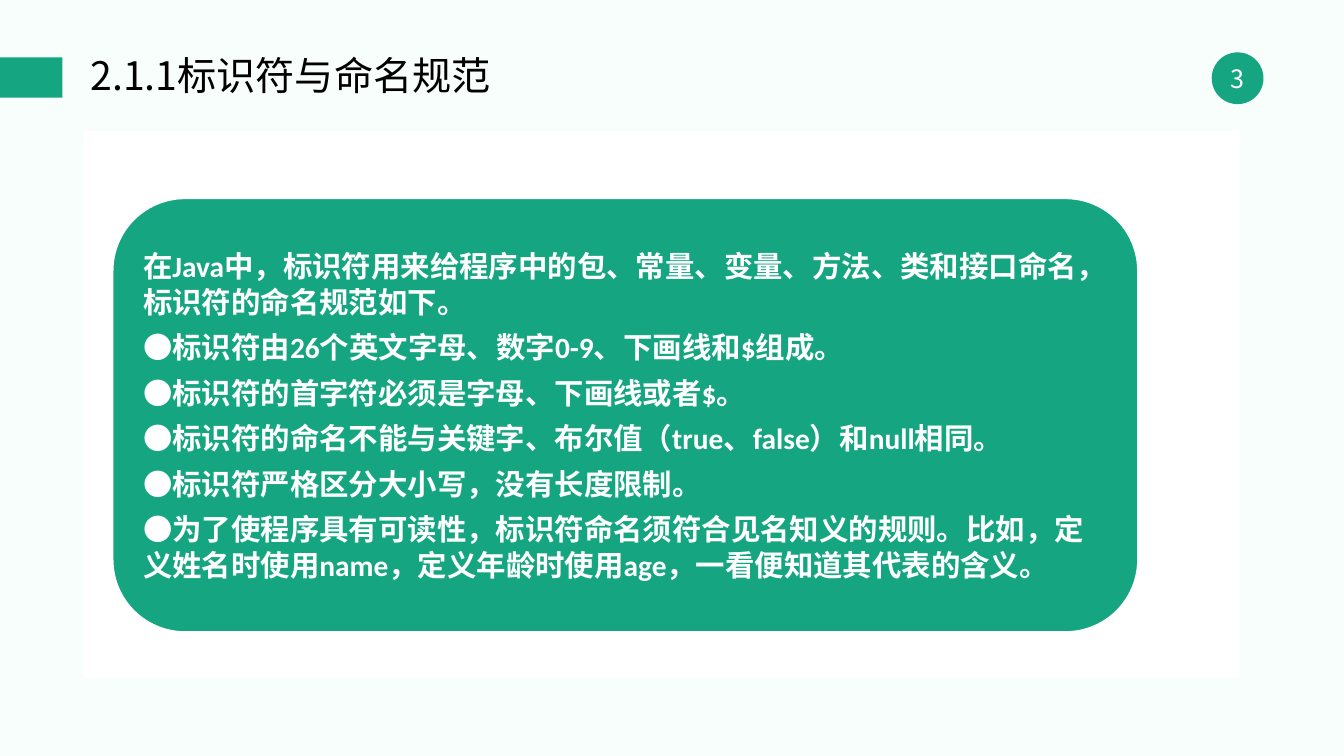
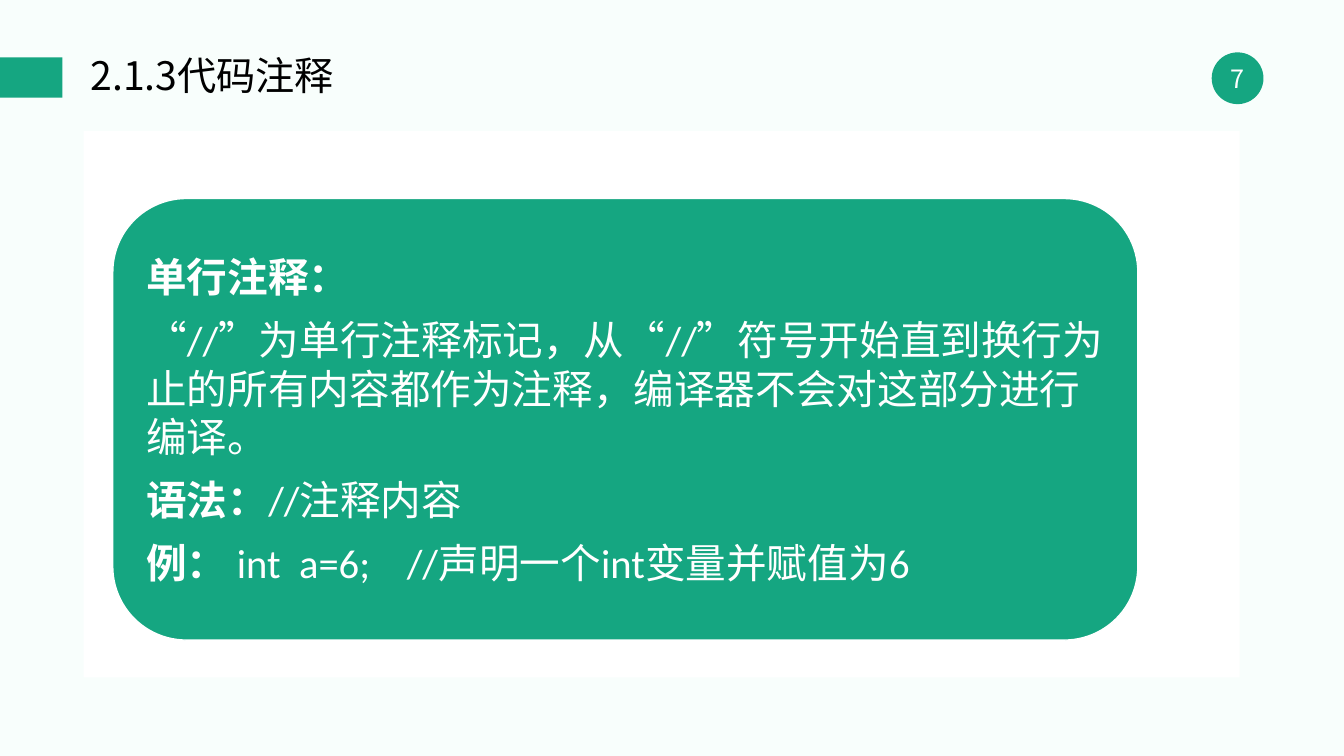
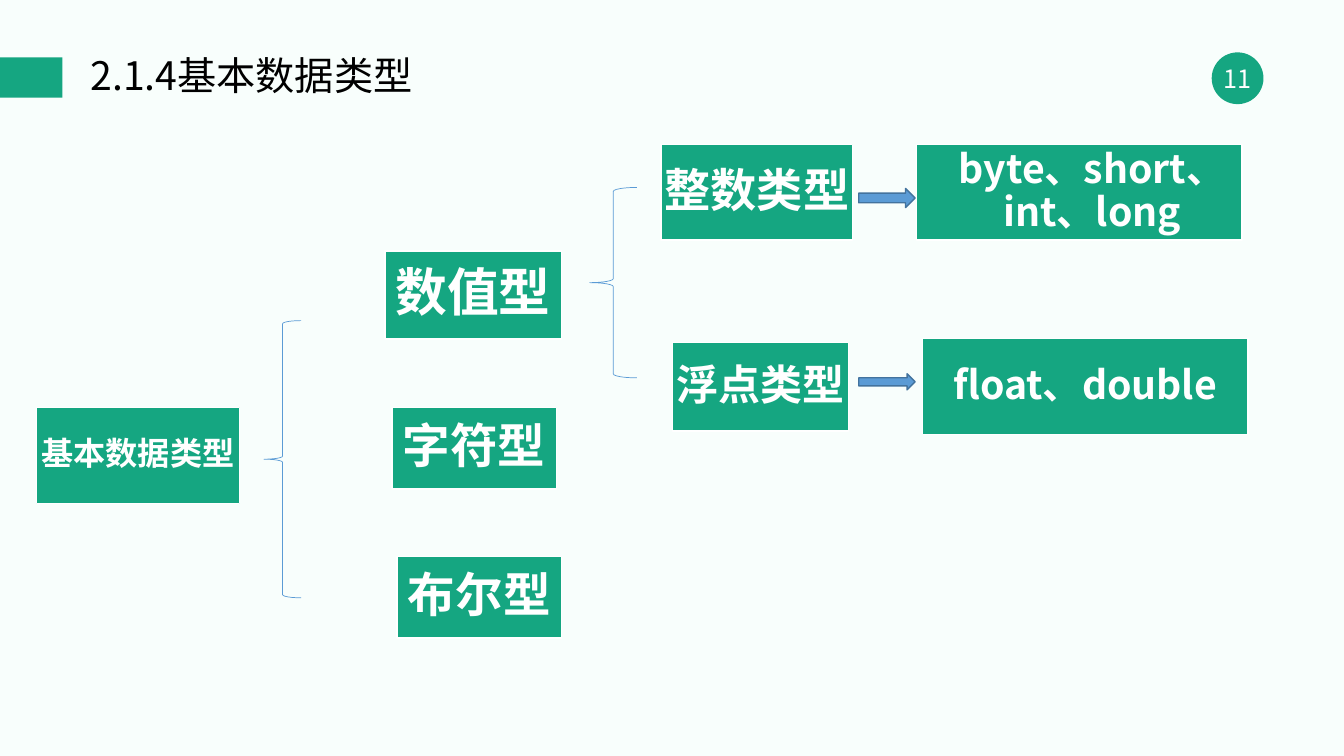
from typing import NamedTuple

from lxml.etree import SubElement
from pptx import Presentation
from pptx.dml.color import RGBColor
from pptx.enum.shapes import MSO_SHAPE as Kind
from pptx.enum.text import MSO_ANCHOR as Anchor, PP_ALIGN as Align
from pptx.oxml.ns import qn
from pptx.util import Pt

GREEN, WHITE, BLACK, MINT = "15A681", "FFFFFF", "000000", "F8FEFC"
BLUE, NAVY = "5B9BD5", "43739E"
SANS, LATIN = "Noto Sans CJK SC", "Calibri"
AFTER = 0.35  # space after a paragraph, as a share of the text size


class Box(NamedTuple):
    left: float
    top: float
    width: float
    height: float


class Para(NamedTuple):
    """A bold lead followed by regular text; either may be empty."""
    lead: str
    rest: str = ""


class Style(NamedTuple):
    size: float
    color: str = WHITE
    font: str = SANS
    align: Align = Align.LEFT
    line: float = 1.0
    after: float = 0


class Card(NamedTuple):
    height: float
    size: float
    inset: float
    paras: list[Para]


class Node(NamedTuple):
    text: str
    size: float
    box: Box
    shift: float = 0


DISC = Box(865.5, 37.4, 37, 37)
BAR = Box(0, 41, 44.6, 28.8)
TITLE = Box(57.6, 37.4, 536.4, 36.7)
PANEL = Box(59.8, 93.6, 825.8, 390.2)

RULES = Card(309.6, 21, 6.5, [
    Para("在Java中，标识符用来给程序中的包、常量、变量、方法、类和接口命名，标识符的命名规范如下。"),
    Para("●标识符由26个英文字母、数字0-9、下画线和$组成。"),
    Para("●标识符的首字符必须是字母、下画线或者$。"),
    Para("●标识符的命名不能与关键字、布尔值（true、false）和null相同。"),
    Para("●标识符严格区分大小写，没有长度限制。"),
    Para("●为了使程序具有可读性，标识符命名须符合见名知义的规则。比如，定义姓名时使用name，"
         "定义年龄时使用age，一看便知道其代表的含义。"),
])
NOTES = Card(315.4, 29, 8.6, [
    Para("单行注释："),
    Para("", "“//”为单行注释标记，从“//”符号开始直到换行为止的所有内容都作为注释，"
             "编译器不会对这部分进行编译。"),
    Para("语法：", "//注释内容"),
    Para("例： ", "int  a=6;    //声明一个int变量并赋值为6"),
])
NODES = [
    Node("基本数据类型", 23, Box(25.9, 290.9, 145.4, 69)),
    Node("数值型", 37, Box(275, 179.3, 126, 63)),
    Node("字符型", 34, Box(280, 290.9, 117.4, 58.3)),
    Node("布尔型", 34, Box(283.7, 397.4, 117.4, 58.3)),
    Node("整数类型", 33, Box(472.3, 103, 136.8, 68.4)),
    Node("浮点类型", 30, Box(480.2, 244.8, 126, 63)),
    Node("byte、short、int、long", 28, Box(654.5, 103, 232.6, 68.4), 9.4),
    Node("float、double", 28, Box(658.8, 241.9, 232.6, 68.4)),
]
BRACES = [Box(188.6, 229, 26.6, 198), Box(421.2, 133.9, 33.8, 136)]
ARROWS = [Box(613.4, 134.6, 40.3, 13.7), Box(613.4, 267, 40.3, 11.5)]


def rgb(code: str) -> RGBColor:
    return RGBColor.from_string(code)


def points(box: Box) -> list[Pt]:
    return [Pt(side) for side in box]


def draw(slide, kind: Kind, box: Box, fill: str = "", edge: str = "",
         weight: float = 1):
    """Add a preset shape; an empty colour means no fill or no line."""
    shape = slide.shapes.add_shape(kind, *points(box))
    shape.shadow.inherit = False
    if fill:
        shape.fill.solid()
        shape.fill.fore_color.rgb = rgb(fill)
    else:
        shape.fill.background()
    if edge:
        shape.line.color.rgb = rgb(edge)
        shape.line.width = Pt(weight)
    else:
        shape.line.fill.background()
    return shape


def write(shape, paras: list[Para], style: Style, inset: float) -> None:
    frame = shape.text_frame
    frame.word_wrap = True
    frame.vertical_anchor = Anchor.MIDDLE
    frame.margin_left = frame.margin_right = Pt(inset)
    frame.margin_top = frame.margin_bottom = Pt(min(inset, 8.6))
    for pos, para in enumerate(paras):
        item = frame.add_paragraph() if pos else frame.paragraphs[0]
        item.alignment = style.align
        item.line_spacing = style.line
        item.space_after = Pt(round(style.size * style.after, 2))
        font = item.font
        font.size, font.name = Pt(style.size), style.font
        font.color.rgb = rgb(style.color)
        font.bold = not para.rest
        props = item._p.pPr.find(qn("a:defRPr"))
        SubElement(props, qn("a:ea"), typeface=SANS)
        if para.lead:
            run = item.add_run()
            run.text = para.lead
            if para.rest:
                run.font.bold = True
        if para.rest:
            item.add_run().text = para.rest


def start(deck, title: str, number: int):
    """Add a slide with the shared background, bar, title and number."""
    slide = deck.slides.add_slide(deck.slide_layouts[6])
    back = slide.background.fill
    back.solid()
    back.fore_color.rgb = rgb(MINT)
    disc = draw(slide, Kind.OVAL, DISC, GREEN)
    write(disc, [Para("", str(number))], Style(18, align=Align.CENTER), 0)
    draw(slide, Kind.RECTANGLE, BAR, GREEN)
    head = slide.shapes.add_textbox(*points(TITLE))
    write(head, [Para("", title)], Style(28, BLACK, line=0.9), 7.2)
    return slide


def add_card(slide, card: Card) -> None:
    draw(slide, Kind.RECTANGLE, PANEL, WHITE)
    box = Box(80.6, 141.8, 732.2, card.height)
    shape = draw(slide, Kind.ROUNDED_RECTANGLE, box, GREEN, WHITE)
    style = Style(card.size, font=LATIN, after=AFTER)
    write(shape, card.paras, style, card.inset)


def add_node(slide, node: Node) -> None:
    """Draw a box; a shifted label gets a text box of its own."""
    label = draw(slide, Kind.RECTANGLE, node.box, GREEN, WHITE)
    if node.shift:
        place = node.box._replace(left=node.box.left + node.shift)
        label = slide.shapes.add_textbox(*points(place))
    style = Style(node.size, align=Align.CENTER, line=0.9, after=AFTER)
    write(label, [Para(node.text)], style, 1.5)


def main() -> None:
    deck = Presentation()
    deck.slide_width, deck.slide_height = Pt(960), Pt(540)

    add_card(start(deck, "2.1.1标识符与命名规范", 3), RULES)
    add_card(start(deck, "2.1.3代码注释", 7), NOTES)

    tree = start(deck, "2.1.4基本数据类型", 11)
    for node in NODES:
        add_node(tree, node)
    for box in BRACES:
        draw(tree, Kind.LEFT_BRACE, box, edge=BLUE, weight=0.5)
    for box in ARROWS:
        draw(tree, Kind.RIGHT_ARROW, box, BLUE, NAVY)

    deck.save("out.pptx")


if __name__ == "__main__":
    main()
